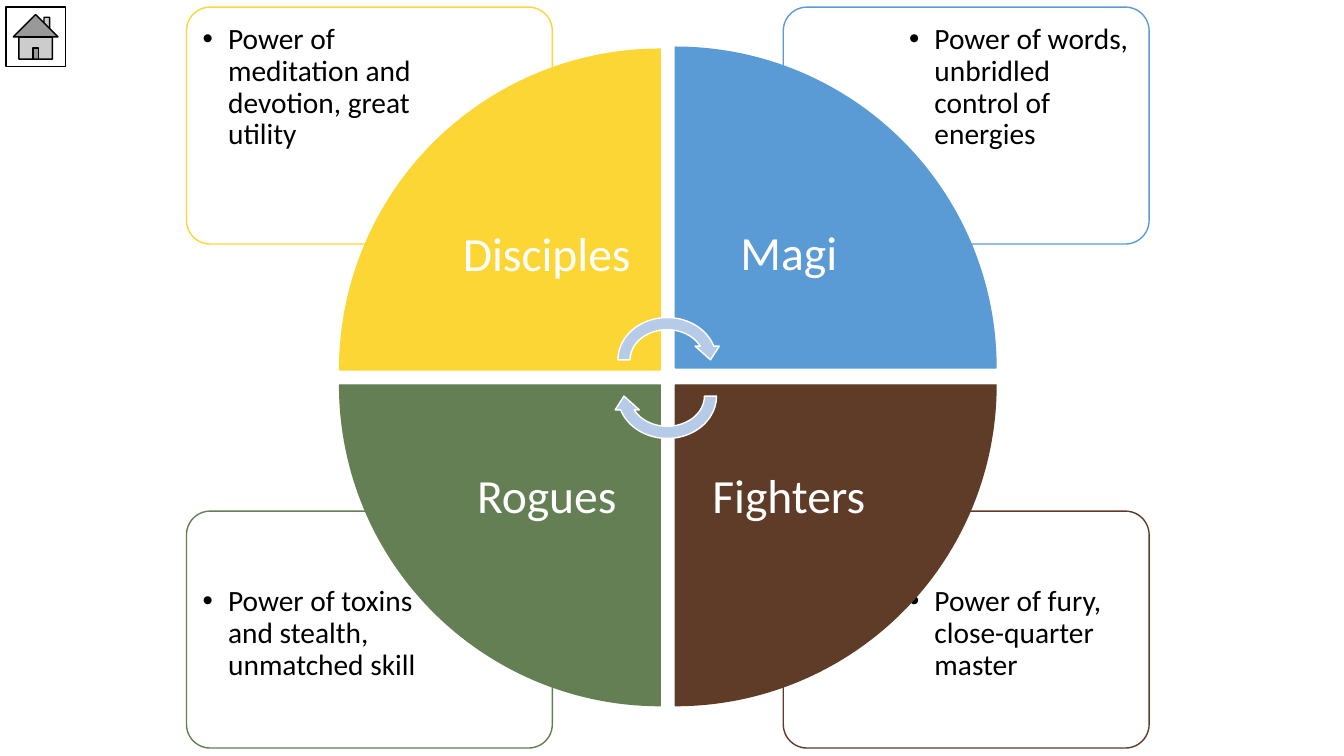
from lxml import etree
from pptx import Presentation
from pptx.dml.color import RGBColor
from pptx.enum import shapes, text
from pptx.oxml import ns
from pptx.util import Cm, Pt

WHITE = RGBColor(0xFF, 0xFF, 0xFF)
BLACK = RGBColor(0x00, 0x00, 0x00)
YELLOW = RGBColor(0xFC, 0xD6, 0x34)
BLUE = RGBColor(0x5B, 0x9B, 0xD5)
BROWN = RGBColor(0x5F, 0x3C, 0x27)
GREEN = RGBColor(0x63, 0x7F, 0x53)
PALE_BLUE = RGBColor(0xB5, 0xCB, 0xE7)

deck = Presentation()
deck.slide_width, deck.slide_height = Cm(33.87), Cm(19.05)
slide = deck.slides.add_slide(deck.slide_layouts[6])


def draw(preset, left, top, width, height, fill, line, turn=0):
    part = slide.shapes.add_shape(preset, Cm(left), Cm(top), Cm(width), Cm(height))
    part.rotation = turn
    part.shadow.inherit = False
    part.fill.solid()
    part.fill.fore_color.rgb = fill
    part.line.color.rgb = line
    part.line.width = Pt(1)
    return part


def write(words, left, top, width, height, inset, size, colour):
    frame = slide.shapes.add_textbox(Cm(left), Cm(top), Cm(width), Cm(height)).text_frame
    frame.word_wrap = True
    frame.margin_left = frame.margin_right = Cm(inset)
    frame.margin_top = frame.margin_bottom = Cm(inset)
    frame.text = words
    paragraph = frame.paragraphs[0]
    paragraph.line_spacing = 0.9
    font = paragraph.runs[0].font
    font.name, font.size, font.color.rgb = "Calibri", Pt(size), colour
    return frame


# name, power, colour, column, row, wedge top, label top, turn
classes = [
    ("Disciples", "Power of meditation and devotion, great utility", YELLOW, 0, 0, 1.24, 3.6, 0),
    ("Magi", "Power of words, unbridled control of energies", BLUE, 1, 0, 1.19, 3.58, 90),
    ("Fighters", "Power of fury, close-quarter master", BROWN, 1, 1, 9.7, 9.7, 180),
    ("Rogues", "Power of toxins and stealth, unmatched skill", GREEN, 0, 1, 9.7, 9.7, 270),
]

for name, power, colour, column, row, wedge_top, label_top, turn in classes:
    card = draw(shapes.MSO_SHAPE.ROUNDED_RECTANGLE, (4.7, 19.74)[column], (0.18, 12.88)[row],
                9.22, 5.97, WHITE, colour)
    card.adjustments[0] = 0.1
    frame = write(power, (4.83, 22.63)[column], (0.33, 14.5)[row], 6.2, 4.22, 0.28, 21, BLACK)
    properties = frame.paragraphs[0]._p.get_or_add_pPr()
    properties.set("marL", str(Cm(0.64)))
    properties.set("indent", str(-Cm(0.64)))
    etree.SubElement(properties, ns.qn("a:buFont")).set("typeface", "Arial")
    etree.SubElement(properties, ns.qn("a:buChar")).set("char", "•")

for name, power, colour, column, row, wedge_top, label_top, turn in classes:
    draw(shapes.MSO_SHAPE.PIE_WEDGE, (8.56, 17.02)[column], wedge_top, 8.08, 8.08,
         colour, colour, turn)
    frame = write(name, (10.92, 17.02)[column], label_top, 5.72, 5.72, 0.66, 34, WHITE)
    frame.vertical_anchor = text.MSO_ANCHOR.MIDDLE
    frame.paragraphs[0].alignment = text.PP_ALIGN.CENTER

for top, turn in ((7.85, 0), (8.76, 180)):
    draw(shapes.MSO_SHAPE.CIRCULAR_ARROW, 15.42, top, 2.79, 2.44, PALE_BLUE, WHITE, turn)

draw(shapes.MSO_SHAPE.ACTION_BUTTON_HOME, 0.15, 0.18, 1.5, 1.5, WHITE, BLACK)

deck.save("out.pptx")
